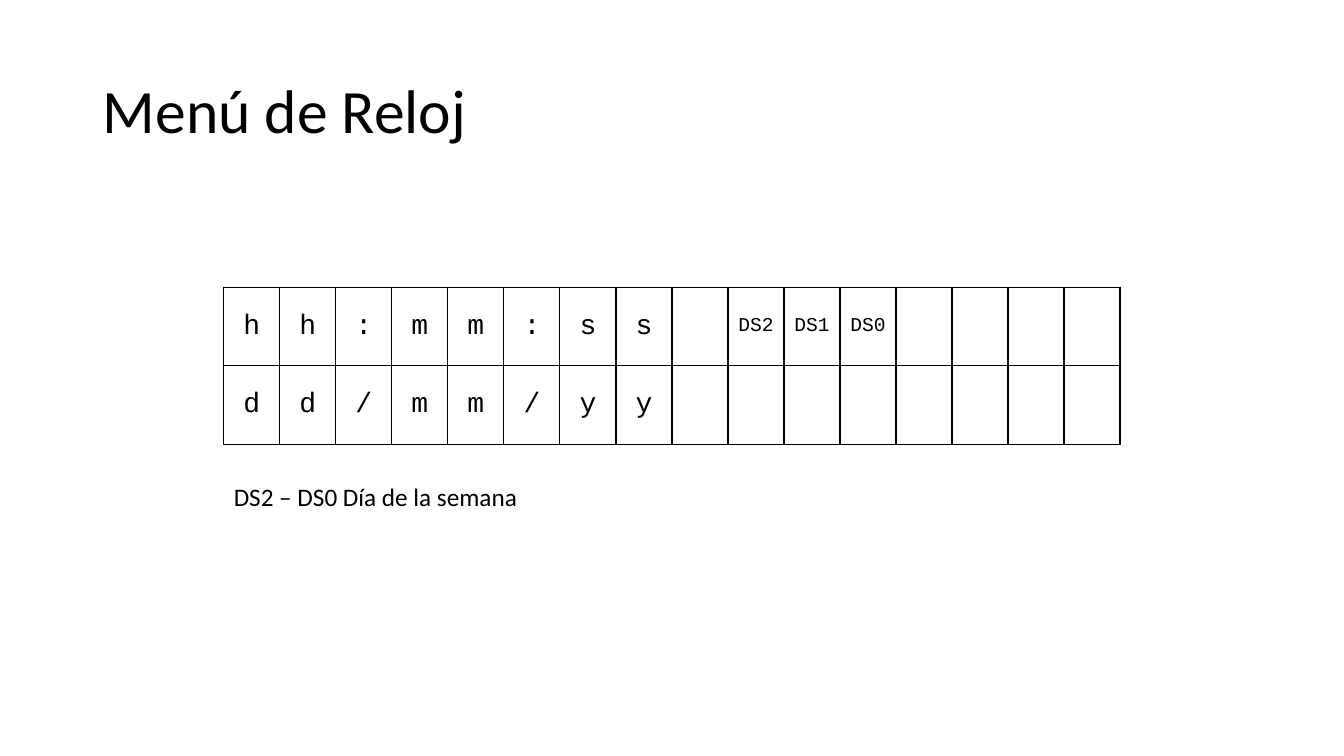
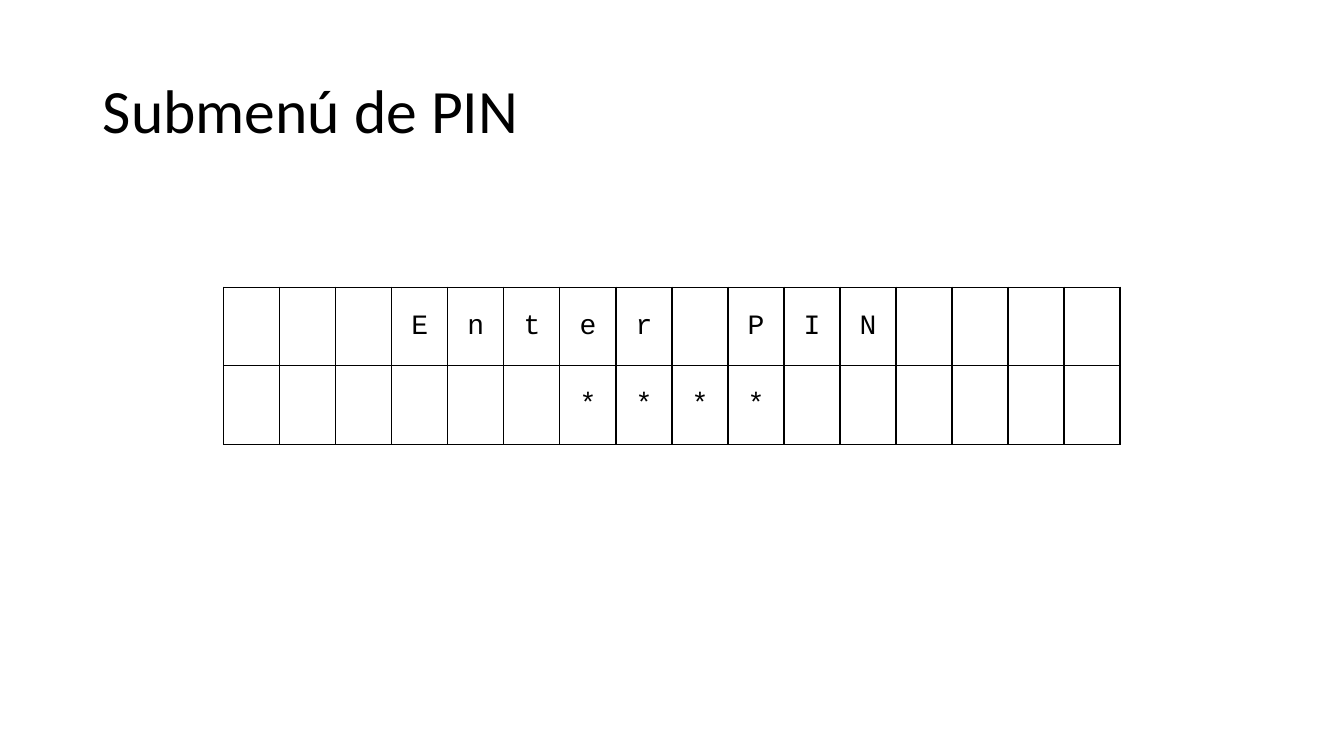
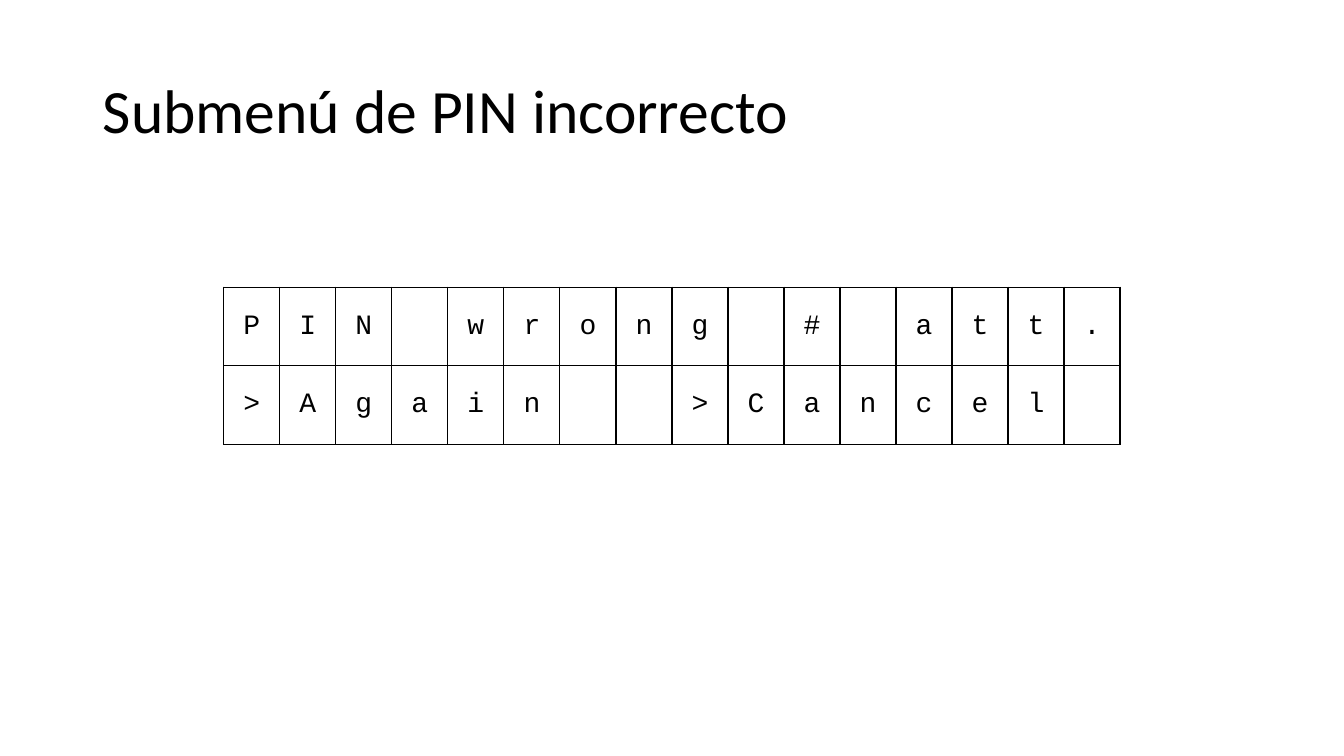
from lxml import etree
from pptx import Presentation
from pptx.dml.color import RGBColor
from pptx.enum import text
from pptx.oxml import ns
from pptx.util import Inches, Pt

COLORS = {"ink": "000000", "paper": "FFFFFF"}
TITLE_BOX = (0.92, 0.4, 11.5, 1.45)
DISPLAY_BOX = (2.22, 2.85, 8.89, 1.56)
CAPTION_GAP = 0.32
DISPLAY_ROWS, DISPLAY_COLUMNS = 2, 16
BORDER_WIDTH = Pt(1)

TITLE_FONT = {"name": "Calibri", "size": Pt(44)}
CAPTION_FONT = {"name": "Calibri", "size": Pt(18)}
CHARACTER_FONT = {"name": "Courier New", "size": Pt(20)}
BIT_FONT = {"name": "Courier New", "size": Pt(14)}

# Each display line lists (first column, labels), one label to a column.
SCREENS = [
    {"title": "Menú de Reloj",
     "lines": [[(0, "hh:mm:ss"), (9, ["DS2", "DS1", "DS0"])],
               [(0, "dd/mm/yy")]],
     "caption": "DS2 – DS0 Día de la semana"},
    {"title": "Submenú de PIN",
     "lines": [[(3, "Enter"), (9, "PIN")],
               [(6, "****")]]},
    {"title": "Submenú de PIN incorrecto",
     "lines": [[(0, "PIN"), (4, "wrong"), (10, "#"), (12, "att.")],
               [(0, ">Again"), (8, ">Cancel")]]},
]


def apply_font(font, values):
    for attribute, value in values.items():
        setattr(font, attribute, value)
    font.color.rgb = RGBColor.from_string(COLORS["ink"])


def prepare_layout(prs):
    """Place the shared title and set the background on the title-only layout."""
    layout = prs.slide_layouts[5]
    layout.background.fill.solid()
    layout.background.fill.fore_color.rgb = RGBColor.from_string(COLORS["paper"])
    title = layout.placeholders[0]
    for side, length in zip(("left", "top", "width", "height"), TITLE_BOX):
        setattr(title, side, Inches(length))
    return layout


def write_title(slide, wording):
    frame = slide.shapes.title.text_frame
    frame.text = wording
    frame.vertical_anchor = text.MSO_ANCHOR.MIDDLE
    paragraph = frame.paragraphs[0]
    paragraph.alignment = text.PP_ALIGN.LEFT
    paragraph.line_spacing = 0.9
    apply_font(paragraph.runs[0].font, TITLE_FONT)


def outline_cell(cell):
    properties = cell._tc.get_or_add_tcPr()
    for side in ("lnL", "lnR", "lnT", "lnB"):
        border = etree.SubElement(properties, ns.qn(f"a:{side}"), w=str(BORDER_WIDTH))
        fill = etree.SubElement(border, ns.qn("a:solidFill"))
        etree.SubElement(fill, ns.qn("a:srgbClr"), val=COLORS["ink"])
    cell.fill.background()


def write_label(cell, label):
    cell.text = label
    paragraph = cell.text_frame.paragraphs[0]
    paragraph.alignment = text.PP_ALIGN.CENTER
    apply_font(paragraph.runs[0].font, CHARACTER_FONT if len(label) == 1 else BIT_FONT)


def add_display(slide, box, lines):
    """Draw the character display as a table filling the box."""
    left, top, width, height = map(Inches, box)
    display = slide.shapes.add_table(
        DISPLAY_ROWS, DISPLAY_COLUMNS, left, top, width, height).table
    display.first_row = display.horz_banding = False
    for cell in display.iter_cells():
        cell.vertical_anchor = text.MSO_ANCHOR.MIDDLE
        cell.margin_left = cell.margin_right = Inches(0.05)
        outline_cell(cell)
    for row, line in enumerate(lines):
        for start, labels in line:
            for column, label in enumerate(labels, start):
                write_label(display.cell(row, column), label)


def add_caption(slide, box, wording):
    """Write a caption under the box, flush with its left side."""
    left, top, _, height = box
    caption = slide.shapes.add_textbox(
        Inches(left), Inches(top + height + CAPTION_GAP), Inches(3.05), Inches(0.4))
    frame = caption.text_frame
    frame.word_wrap = False
    frame.auto_size = text.MSO_AUTO_SIZE.SHAPE_TO_FIT_TEXT
    frame.text = wording
    apply_font(frame.paragraphs[0].runs[0].font, CAPTION_FONT)


def add_screen(prs, layout, screen):
    slide = prs.slides.add_slide(layout)
    write_title(slide, screen["title"])
    add_display(slide, DISPLAY_BOX, screen["lines"])
    if "caption" in screen:
        add_caption(slide, DISPLAY_BOX, screen["caption"])


def main():
    prs = Presentation()
    prs.slide_width, prs.slide_height = Inches(13.33), Inches(7.5)
    layout = prepare_layout(prs)
    for screen in SCREENS:
        add_screen(prs, layout, screen)
    prs.save("out.pptx")


if __name__ == "__main__":
    main()
